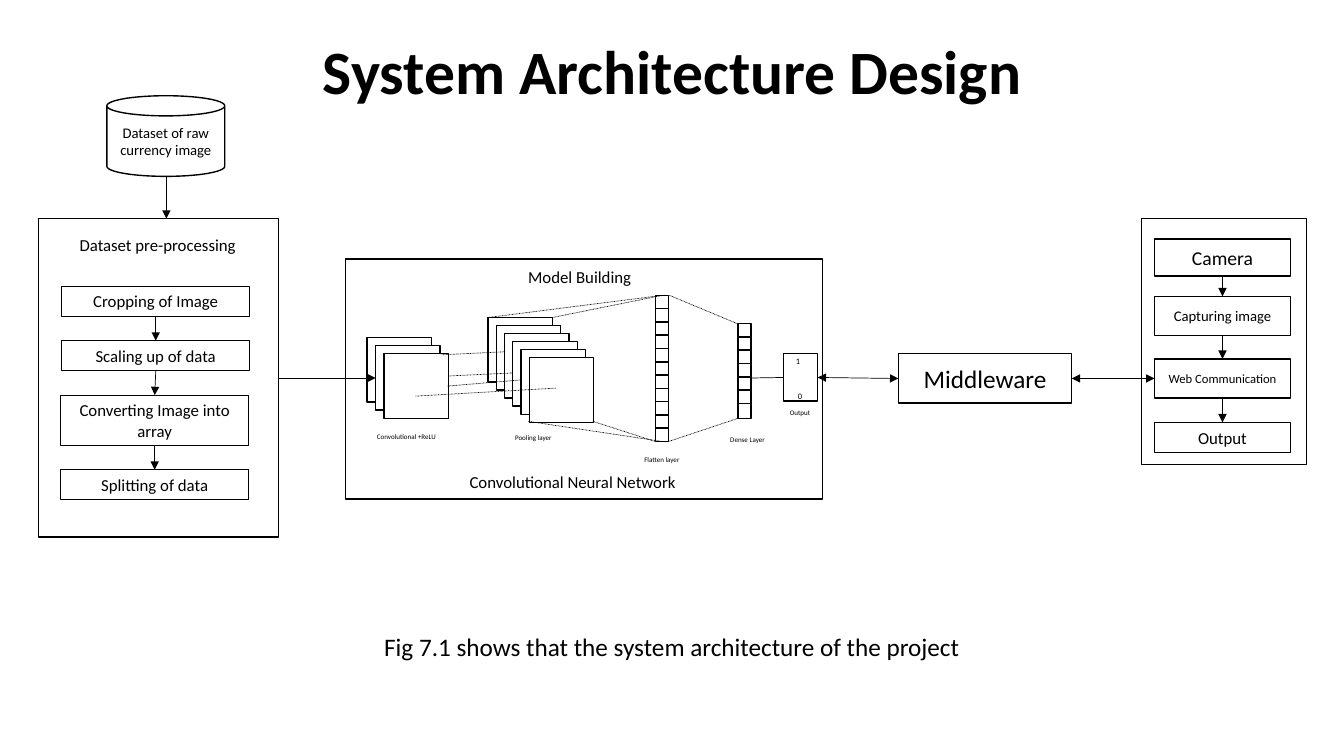
from dataclasses import dataclass
from itertools import pairwise

from lxml.etree import SubElement
from pptx import Presentation
from pptx.dml.color import RGBColor
from pptx.enum.dml import MSO_LINE
from pptx.enum.shapes import MSO_CONNECTOR, MSO_SHAPE
from pptx.enum.text import MSO_ANCHOR, PP_ALIGN
from pptx.oxml.ns import qn
from pptx.util import Inches, Pt


@dataclass(frozen=True)
class Theme:
    font: str = "Calibri"
    ink: RGBColor = RGBColor(0, 0, 0)
    paper: RGBColor = RGBColor(255, 255, 255)
    title: float = 44
    large: float = 18
    medium: float = 14
    body: float = 12
    small: float = 10.5
    compact: float = 9
    digit: float = 6
    label: float = 5
    border: float = 1
    thin_border: float = 0.75
    connector: float = 0.5


theme = Theme()
deck = Presentation()
deck.slide_width, deck.slide_height = Inches(13.33), Inches(7.5)
page = deck.slides.add_slide(deck.slide_layouts[6])


def add_box(place, text="", size=theme.body, kind=None, border=None,
            align=PP_ALIGN.CENTER):
    frame = [Inches(value) for value in place]
    if kind is None:
        box = page.shapes.add_textbox(*frame)
    else:
        box = page.shapes.add_shape(kind, *frame)
        box.shadow.inherit = False
        box.fill.solid()
        box.fill.fore_color.rgb = theme.paper
        box.text_frame.vertical_anchor = MSO_ANCHOR.MIDDLE
    if border:
        box.line.color.rgb = theme.ink
        box.line.width = Pt(border)
    if text:
        box.text_frame.word_wrap = place[2] > 0.2
        para = box.text_frame.paragraphs[0]
        para.text = text
        para.alignment = align
        para.font.name = theme.font
        para.font.size = Pt(size)
        para.font.color.rgb = theme.ink
    return box


def add_line(start=(0, 0), end=(0, 0), source=None, target=None, sides=(3, 1),
             arrows=(), dotted=False):
    line = page.shapes.add_connector(
        MSO_CONNECTOR.STRAIGHT, *[Inches(value) for value in (*start, *end)])
    if source is not None:
        line.begin_connect(source, sides[0])
    if target is not None:
        line.end_connect(target, sides[1])
    line.line.color.rgb = theme.ink
    line.line.width = Pt(theme.connector)
    if dotted:
        line.line.dash_style = MSO_LINE.ROUND_DOT
    properties = line.element.spPr
    for arrow in arrows:
        SubElement(properties.find(qn("a:ln")), qn(arrow), type="triangle")
    SubElement(properties, qn("a:effectLst"))


ARROW = ("a:tailEnd",)
BOTH_ARROWS = ("a:headEnd", "a:tailEnd")
RECTANGLE = MSO_SHAPE.RECTANGLE

title = add_box((0.99, 0.32, 11.36, 0.8), "System Architecture Design", theme.title)
title.text_frame.vertical_anchor = MSO_ANCHOR.BOTTOM
title.text_frame.paragraphs[0].font.bold = True
title.text_frame.paragraphs[0].line_spacing = 0.9

caption = add_box((3.33, 6.06, 6.67, 0.51),
                  "Fig 7.1 shows that the system architecture of the project", theme.large)
caption.text_frame.paragraphs[0].line_spacing = 1.5
caption.text_frame.paragraphs[0].space_after = Pt(8)

add_box((1.06, 0.95, 1.17, 0.8), "Dataset of raw currency image", theme.small,
        MSO_SHAPE.CAN, theme.border)

preprocessing = add_box((0.38, 2.17, 2.38, 3.16), kind=RECTANGLE, border=theme.border)
add_box((0.63, 2.28, 1.87, 0.3), "Dataset pre-processing")
add_line((1.65, 1.76), (1.65, 2.17), arrows=ARROW)

steps = [
    add_box((left, top, 1.87, height), text, border=theme.thin_border)
    for left, top, height, text in (
        (0.61, 2.84, 0.3, "Cropping of Image"),
        (0.61, 3.38, 0.3, "Scaling up of data"),
        (0.6, 3.92, 0.5, "Converting Image into array"),
        (0.6, 4.66, 0.3, "Splitting of data"),
    )
]

add_box((3.43, 2.57, 4.73, 2.38), kind=RECTANGLE, border=theme.border)
layers = {}
for name, left, top, step_x, step_y, width, height, count in (
    ("convolution", 3.64, 3.35, 0.085, 0.08, 0.64, 0.64, 3),
    ("pooling", 4.84, 3.15, 0.082, 0.08, 0.64, 0.64, 6),
    ("flatten", 6.5, 2.93, 0, 0.132, 0.13, 0.13, 11),
    ("dense", 7.32, 3.21, 0, 0.132, 0.13, 0.15, 7),
):
    layers[name] = [
        add_box((left + index * step_x, top + index * step_y, width, height),
                kind=RECTANGLE, border=theme.border)
        for index in range(count)
    ]

for start, end in (
    ((4.12, 3.93), (5.52, 3.85)),
    ((4.44, 3.83), (5.16, 3.77)),
    ((4.45, 3.73), (5.08, 3.7)),
    ((4.38, 3.52), (5.01, 3.49)),
    ((5.24, 4.18), (6.57, 4.38)),
    ((5.88, 4.18), (6.5, 4.38)),
    ((4.84, 3.15), (6.57, 2.93)),
    ((5.48, 3.15), (6.57, 2.93)),
    ((6.63, 4.38), (7.32, 4.15)),
    ((6.64, 2.93), (7.31, 3.21)),
):
    add_line(start, end, dotted=True)

prediction = add_box((7.77, 3.51, 0.34, 0.47), kind=RECTANGLE, border=theme.border)
add_line((7.45, 3.75), target=prediction)

for left, top, width, text, align in (
    (3.64, 4.24, 0.81, "Convolutional +ReLU", PP_ALIGN.LEFT),
    (5.01, 4.25, 0.81, "Pooling layer", PP_ALIGN.LEFT),
    (6.16, 4.47, 0.81, "Flatten layer", PP_ALIGN.CENTER),
    (7.01, 4.27, 0.81, "Dense Layer", PP_ALIGN.CENTER),
    (7.66, 4, 0.55, "Output", PP_ALIGN.CENTER),
):
    add_box((left, top, width, 0.19), text, theme.label, align=align)

add_box((4.2, 2.6, 3.1, 0.3), "Model Building")
add_box((4.42, 4.63, 2.52, 0.3), "Convolutional Neural Network")
add_box((7.84, 3.48, 0.15, 0.2), "1", theme.digit)
add_box((7.86, 3.83, 0.15, 0.2), "0", theme.digit)

middleware = add_box((8.91, 3.51, 1.72, 0.49), "Middleware", theme.large,
                     RECTANGLE, theme.border)

add_box((11.32, 2.17, 1.64, 2.44), kind=RECTANGLE, border=theme.border)
device_steps = [
    add_box((11.45, top, 1.35, height), text, size, RECTANGLE, theme.border)
    for top, height, text, size in (
        (2.37, 0.37, "Camera", theme.medium),
        (2.94, 0.39, "Capturing image", theme.small),
        (3.56, 0.39, "Web Communication", theme.compact),
        (4.19, 0.3, "Output", theme.body),
    )
]

for chain in (steps, device_steps):
    for upper, lower in pairwise(chain):
        add_line(source=upper, target=lower, sides=(2, 0), arrows=ARROW)

add_line(source=preprocessing, target=layers["convolution"][1], arrows=ARROW)
add_line(source=prediction, target=middleware, arrows=BOTH_ARROWS)
add_line(source=middleware, target=device_steps[2], arrows=BOTH_ARROWS)

deck.save("out.pptx")
